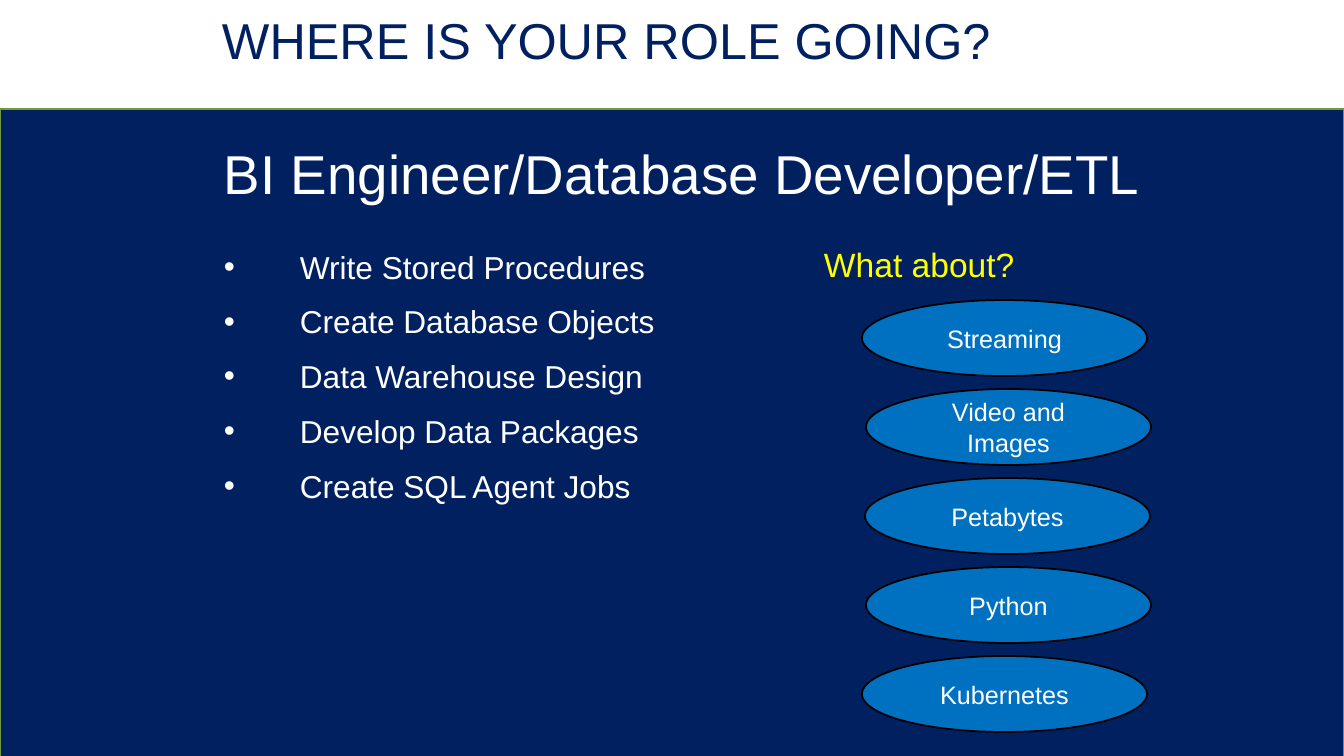
from pptx import Presentation
from pptx.dml.color import RGBColor
from pptx.enum.shapes import MSO_SHAPE
from pptx.enum.text import MSO_ANCHOR, PP_ALIGN
from pptx.oxml.ns import qn
from pptx.util import Pt
from lxml.etree import SubElement

TITLE = "WHERE IS YOUR ROLE GOING?"
ROLE = "BI Engineer/Database Developer/ETL"
TASKS = [
    "Write Stored Procedures",
    "Create Database Objects",
    "Data Warehouse Design",
    "Develop Data Packages",
    "Create SQL Agent Jobs",
]
QUESTION = "What about?"
TOPICS = [  # label, left edge
    ("Streaming", 862),
    ("Video and Images", 866),
    ("Petabytes", 865),
    ("Python", 866),
    ("Kubernetes", 862),
]

NAVY = RGBColor(0x00, 0x20, 0x60)
BLUE = RGBColor(0x00, 0x70, 0xC0)
GREEN = RGBColor(0x72, 0x98, 0x38)
YELLOW = RGBColor(0xFF, 0xFF, 0x00)
WHITE = RGBColor(0xFF, 0xFF, 0xFF)
BLACK = RGBColor(0x00, 0x00, 0x00)

FONT = "Arial"
WIDTH, HEIGHT = 1344, 756
TOPIC_TOP, TOPIC_STEP, TOPIC_W, TOPIC_H = 300, 89, 285, 76
BULLET_INDENT = 76


def px(n):
    """Turn pixels into EMU."""
    return round(n * 914400 / 100.8)


def add_bullet(p):
    """Give a paragraph a round bullet with a hanging indent."""
    pPr = p._p.get_or_add_pPr()
    pPr.set("marL", str(px(BULLET_INDENT)))
    pPr.set("indent", str(-px(BULLET_INDENT)))
    SubElement(pPr, qn("a:buFont")).set("typeface", FONT)
    SubElement(pPr, qn("a:buChar")).set("char", "•")


def write(sp, *lines, size, color=WHITE, align=PP_ALIGN.LEFT,
          anchor=MSO_ANCHOR.TOP, insets=(10, 5, 10, 5), after=None,
          spacing=None, bullet=False):
    """Fill a shape with one formatted paragraph per line."""
    tf = sp.text_frame
    tf.word_wrap = True
    tf.vertical_anchor = anchor
    (tf.margin_left, tf.margin_top,
     tf.margin_right, tf.margin_bottom) = map(px, insets)
    for i, line in enumerate(lines):
        p = tf.add_paragraph() if i else tf.paragraphs[0]
        p.alignment = align
        if after is not None:
            p.space_after = Pt(after)
        if spacing is not None:
            p.line_spacing = spacing
        if bullet:
            add_bullet(p)
        r = p.add_run()
        r.text = line
        r.font.name, r.font.size = FONT, Pt(size)
        r.font.color.rgb = color


def add_box(s, *box):
    """Add a text box placed in pixels."""
    return s.shapes.add_textbox(*map(px, box))


def add_preset(s, kind, *box, fill, line):
    """Add a flat preset shape placed in pixels."""
    sp = s.shapes.add_shape(kind, *map(px, box))
    sp.shadow.inherit = False
    sp.fill.solid()
    sp.fill.fore_color.rgb = fill
    sp.line.color.rgb = line
    sp.line.width = Pt(1.25)
    return sp


prs = Presentation()
prs.slide_width, prs.slide_height = px(WIDTH), px(HEIGHT)
s = prs.slides.add_slide(prs.slide_layouts[5])

panel = add_preset(s, MSO_SHAPE.RECTANGLE, 0, 109, WIDTH, 653,
                   fill=NAVY, line=GREEN)
title = s.shapes.title
title.left, title.top, title.width, title.height = map(px, (212, 11, 824, 126))
write(title, TITLE, size=36, color=NAVY, spacing=0.9)
title._element.addprevious(panel._element)

write(add_box(s, 219, 118, 933, 109), ROLE, size=39.1,
      anchor=MSO_ANCHOR.MIDDLE, insets=(5, 5, 5, 5))
write(add_box(s, 219, 281, 698, 249), *TASKS, size=22.6, after=12, bullet=True,
      anchor=MSO_ANCHOR.MIDDLE, insets=(5, 5, 5, 64))
write(add_box(s, 814, 239, 259, 50), QUESTION, size=24, color=YELLOW)

for i, (label, left) in enumerate(TOPICS):
    oval = add_preset(s, MSO_SHAPE.OVAL, left, TOPIC_TOP + i * TOPIC_STEP,
                      TOPIC_W, TOPIC_H, fill=BLUE, line=BLACK)
    write(oval, label, size=18, align=PP_ALIGN.CENTER, anchor=MSO_ANCHOR.MIDDLE)

prs.save("out.pptx")
